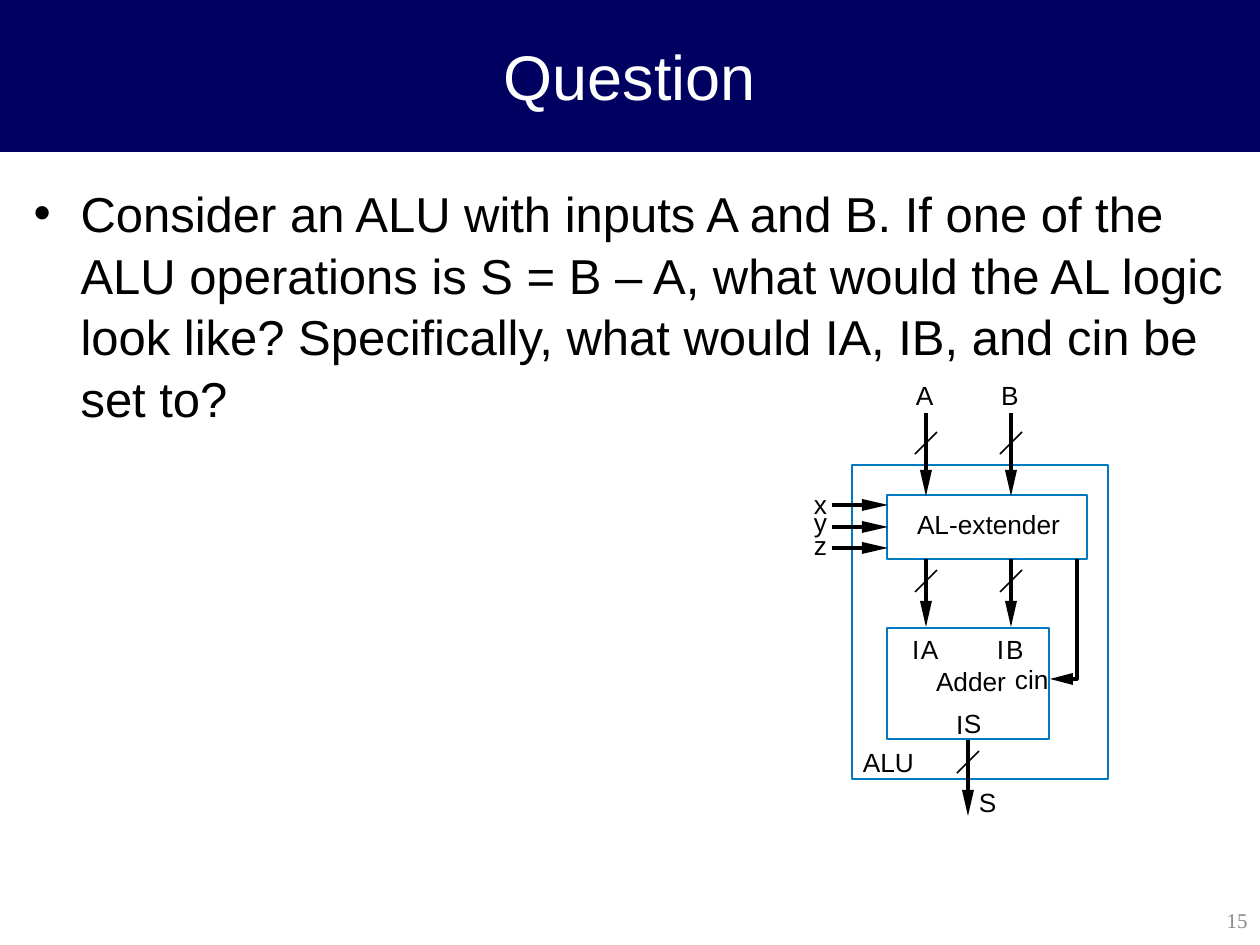
import dataclasses

import lxml.etree
import pptx
import pptx.dml.color
import pptx.enum.shapes
import pptx.enum.text
import pptx.oxml.ns
import pptx.util

EMU_PER_PX = 914400 / 126


@dataclasses.dataclass(frozen=True)
class Theme:
    navy: str = "000060"
    white: str = "FFFFFF"
    black: str = "000000"
    blue: str = "0079C1"
    grey: str = "898989"
    sans: str = "Arial"
    serif: str = "Times New Roman"
    title_size: int = 36
    body_size: int = 28
    label_size: int = 15
    number_size: int = 12
    bus_width: float = 2.75
    wire_width: float = 1.87
    block_width: float = 1.39
    slash_width: float = 0.88


THEME = Theme()


def px(length):
    return pptx.util.Emu(round(length * EMU_PER_PX))


def rgb(colour):
    return pptx.dml.color.RGBColor.from_string(colour)


def place(part, box):
    part.left, part.top, part.width, part.height = map(px, box)


def add_run(paragraph, text, size, colour, font=THEME.sans):
    run = paragraph.add_run()
    run.text = text
    run.font.size = pptx.util.Pt(size)
    run.font.name = font
    run.font.color.rgb = rgb(colour)


def set_stroke(part, colour, width):
    part.line.color.rgb = rgb(colour)
    part.line.width = pptx.util.Pt(width)


def add_label(slide, text, box):
    label = slide.shapes.add_textbox(*map(px, box))
    frame = label.text_frame
    frame.word_wrap = False
    frame.margin_left = frame.margin_right = frame.margin_top = frame.margin_bottom = 0
    add_run(frame.paragraphs[0], text, THEME.label_size, THEME.black)


def add_block(slide, box):
    block = slide.shapes.add_shape(pptx.enum.shapes.MSO_SHAPE.RECTANGLE, *map(px, box))
    block.shadow.inherit = False
    block.fill.background()
    set_stroke(block, THEME.blue, THEME.block_width)


def add_line(slide, start, end, width):
    line = slide.shapes.add_connector(
        pptx.enum.shapes.MSO_CONNECTOR.STRAIGHT, *map(px, start + end))
    set_stroke(line, THEME.black, width)
    lxml.etree.SubElement(line._element.spPr, pptx.oxml.ns.qn("a:effectLst"))


def add_outline(slide, points, close):
    builder = slide.shapes.build_freeform(*points[0], scale=EMU_PER_PX)
    builder.add_line_segments(points[1:], close=close)
    outline = builder.convert_to_shape()
    outline.shadow.inherit = False
    return outline


def add_head(slide, tip, direction, length=26, half=6):
    (x, y), (dx, dy) = tip, direction
    base_x, base_y = x - dx * length, y - dy * length
    head = add_outline(slide, [tip, (base_x + dy * half, base_y + dx * half),
                               (base_x - dy * half, base_y - dx * half)], True)
    head.fill.solid()
    head.fill.fore_color.rgb = rgb(THEME.black)
    head.line.fill.background()


def add_arrow(slide, start, tip, direction, width):
    end = tuple(t - d * 18 for t, d in zip(tip, direction))
    add_line(slide, start, end, width)
    add_head(slide, tip, direction)


def add_bus(slide, x, top, bottom, slash_y):
    add_arrow(slide, (x, top), (x, bottom), (0, 1), THEME.bus_width)
    add_line(slide, (x + 11, slash_y - 11), (x - 11, slash_y + 11), THEME.slash_width)


def build_title(slide, box):
    title = slide.shapes.title
    place(title, box)
    title.fill.solid()
    title.fill.fore_color.rgb = rgb(THEME.navy)
    set_stroke(title, THEME.navy, 0.75)
    frame = title.text_frame
    frame.auto_size = pptx.enum.text.MSO_AUTO_SIZE.NONE
    frame.vertical_anchor = pptx.enum.text.MSO_ANCHOR.MIDDLE
    frame.paragraphs[0].alignment = pptx.enum.text.PP_ALIGN.CENTER
    add_run(frame.paragraphs[0], "Question", THEME.title_size, THEME.white)


def build_body(slide, box):
    body = slide.placeholders[1]
    place(body, box)
    frame = body.text_frame
    frame.auto_size = pptx.enum.text.MSO_AUTO_SIZE.NONE
    question = frame.paragraphs[0]
    question.space_before = pptx.util.Pt(0)
    question.line_spacing = 1.05
    properties = question._p.get_or_add_pPr()
    properties.set("marL", str(px(47)))
    properties.set("indent", str(px(-47)))
    qn = pptx.oxml.ns.qn
    lxml.etree.SubElement(properties, qn("a:buFont"), typeface=THEME.sans)
    lxml.etree.SubElement(properties, qn("a:buChar"), char="•")
    add_run(question, "Consider an ALU with inputs A and B. If one of the ALU operations is "
            "S = B – A, what would the AL logic look like? Specifically, what would "
            "IA, IB, and cin be set to?", THEME.body_size, THEME.black)


def build_alu(slide, box):
    left, top, width, height = box

    def at(x, y):
        return left + x, top + y

    for block in ((38, 86, 256, 314), (73, 116, 200, 64), (73, 249, 162, 111)):
        add_block(slide, at(*block[:2]) + block[2:])

    for name, x in (("A", 112), ("B", 197)):
        column = left + x
        add_bus(slide, column, top + 34, top + 117, top + 64)
        add_bus(slide, column, top + 180, top + 248, top + 202)
        add_label(slide, name, at(x - 10, 0) + (18, 32))
        add_label(slide, "I", at(x - 14, 254) + (8, 32))
        add_label(slide, name, at(x - 5, 254) + (18, 32))
    add_bus(slide, left + 154, top + 361, top + height, top + 383)

    for name, y, label_y in (("x", 126, 109), ("y", 148, 127), ("z", 169, 150)):
        add_label(slide, name, at(0, label_y) + (14, 32))
        add_arrow(slide, at(18, y), at(74, y), (1, 0), THEME.wire_width)

    carry = add_outline(slide, [at(251, 300), at(263, 300), at(263, 180)], False)
    carry.fill.background()
    set_stroke(carry, THEME.black, THEME.wire_width)
    add_head(slide, at(236, 300), (-1, 0), length=23)

    for text, x, y, text_width in (
        ("AL-extender", 103, 129, 144), ("Adder", 122, 286, 71), ("cin", 201, 284, 34),
        ("I", 142, 329, 8), ("S", 150, 328, 18), ("ALU", 49, 367, 52), ("S", 165, 407, 18),
    ):
        add_label(slide, text, at(x, y) + (text_width, 32))


def build_page_number(slide, box):
    number = slide.shapes.add_textbox(*map(px, box))
    frame = number.text_frame
    frame.word_wrap = True
    frame.vertical_anchor = pptx.enum.text.MSO_ANCHOR.MIDDLE
    frame.paragraphs[0].alignment = pptx.enum.text.PP_ALIGN.RIGHT
    add_run(frame.paragraphs[0], "15", THEME.number_size, THEME.grey, THEME.serif)


def main():
    deck = pptx.Presentation()
    deck.slide_width, deck.slide_height = px(1260), px(945)
    slide = deck.slides.add_slide(deck.slide_layouts[1])
    build_title(slide, (0, 0, 1260, 151))
    build_body(slide, (21, 174, 1218, 721))
    build_alu(slide, (814, 379, 294, 437))
    build_page_number(slide, (993, 895, 267, 50))
    deck.save("out.pptx")


if __name__ == "__main__":
    main()
